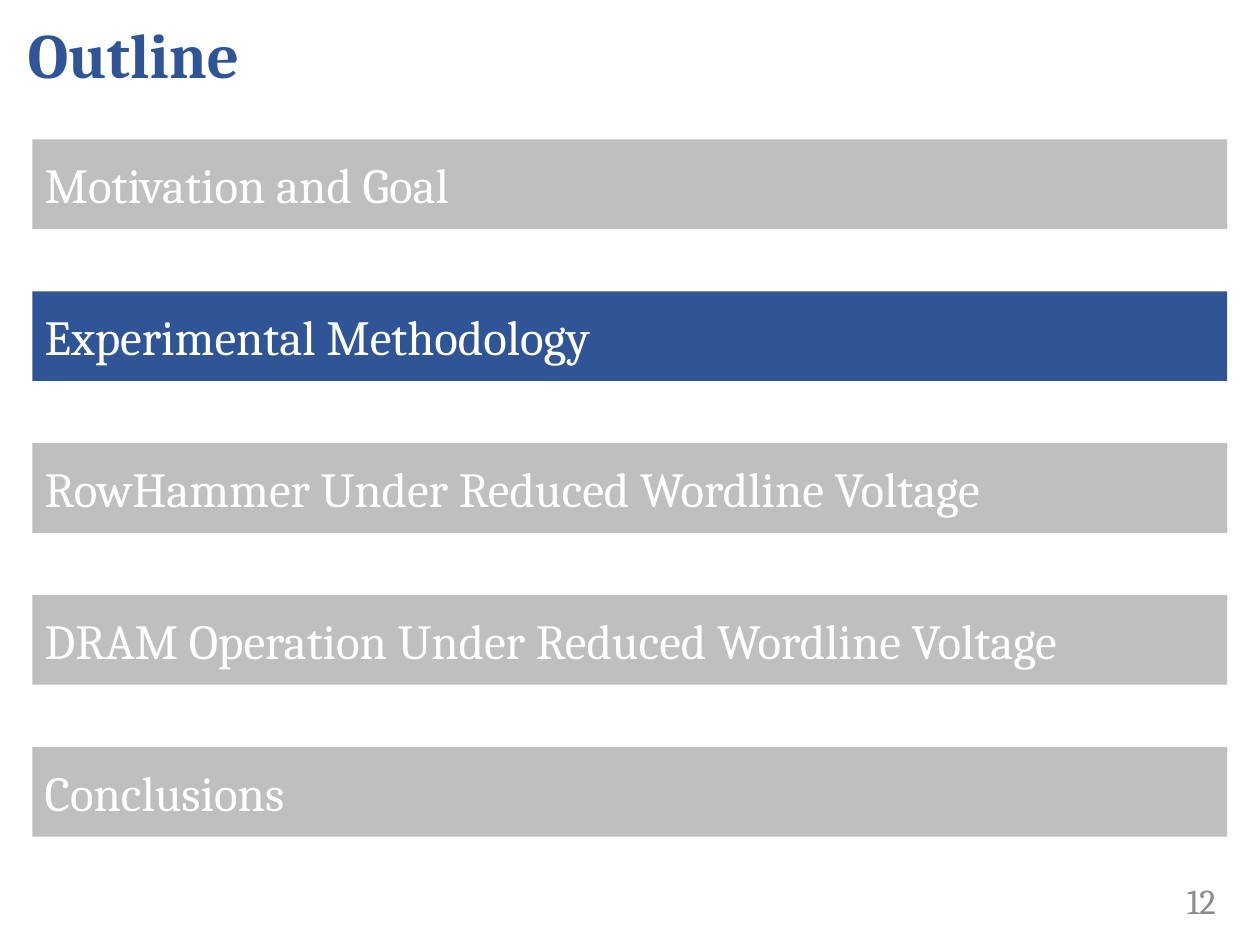
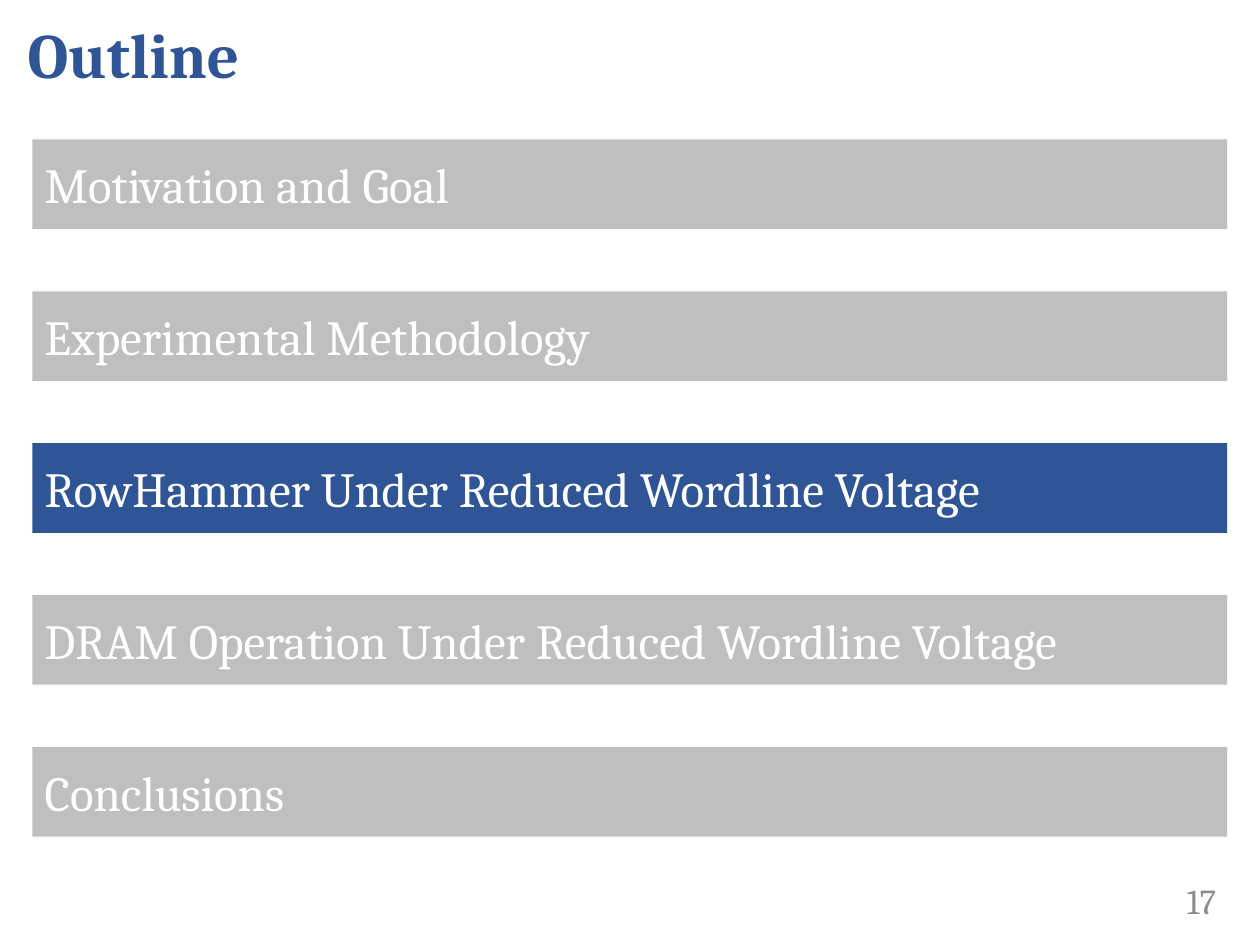
from dataclasses import dataclass
from typing import NamedTuple

from pptx import Presentation
from pptx.dml.color import RGBColor
from pptx.enum.shapes import MSO_SHAPE as Shape
from pptx.enum.text import MSO_ANCHOR as Anchor, MSO_AUTO_SIZE as AutoSize, PP_ALIGN as Align
from pptx.util import Pt


class Box(NamedTuple):
    left: float
    top: float
    width: float
    height: float

    def lengths(self):
        return [Pt(value) for value in self]


@dataclass(frozen=True)
class Theme:
    font: str = "Cambria"
    accent: str = "2F5597"
    muted: str = "BFBFBF"
    white: str = "FFFFFF"
    number_gray: str = "8C8C8C"
    title_size: int = 36
    bar_size: int = 28
    number_size: int = 20


THEME = Theme()
TITLE_ONLY = 5
PAGE_SIZE = (720, 540)
TITLE_BOX = Box(8.64, 0, 699, 60.5)
AGENDA_BOX = Box(18.5, 79.7, 682.8, 398.4)
NUMBER_BOX = Box(624.2, 500.4, 77.8, 28.8)
BAR_HEIGHT = 51.2

SECTIONS = [
    "Motivation and Goal",
    "Experimental Methodology",
    "RowHammer Under Reduced Wordline Voltage",
    "DRAM Operation Under Reduced Wordline Voltage",
    "Conclusions",
]
OUTLINES = [
    ("Experimental Methodology", 12),
    ("RowHammer Under Reduced Wordline Voltage", 17),
]


def set_attributes(target, values):
    for name, value in values.items():
        setattr(target, name, value)


def write_line(shape, text, size, color, bold=False, align=Align.LEFT):
    frame = shape.text_frame
    set_attributes(frame, {
        "text": text,
        "word_wrap": True,
        "auto_size": AutoSize.NONE,
        "vertical_anchor": Anchor.MIDDLE,
    })
    para = frame.paragraphs[0]
    para.alignment = align
    font = para.runs[0].font
    set_attributes(font, {"name": THEME.font, "size": Pt(size), "bold": bold})
    font.color.rgb = RGBColor.from_string(color)
    return para


def fill_title(page, box, text):
    title = page.shapes.title
    set_attributes(title, dict(zip(("left", "top", "width", "height"), box.lengths())))
    para = write_line(title, text, THEME.title_size, THEME.accent, bold=True)
    para.space_after = Pt(6)


def add_bar(page, box, text, color):
    bar = page.shapes.add_shape(Shape.RECTANGLE, *box.lengths())
    bar.shadow.inherit = False
    bar.fill.solid()
    bar.fill.fore_color.rgb = RGBColor.from_string(color)
    bar.line.fill.background()
    write_line(bar, text, THEME.bar_size, THEME.white)


def add_agenda(page, box, sections, current):
    step = (box.height - BAR_HEIGHT) / (len(sections) - 1)
    for index, section in enumerate(sections):
        bar_box = Box(box.left, box.top + index * step, box.width, BAR_HEIGHT)
        color = THEME.accent if section == current else THEME.muted
        add_bar(page, bar_box, section, color)


def add_page_number(page, box, number):
    number_box = page.shapes.add_textbox(*box.lengths())
    write_line(number_box, str(number), THEME.number_size, THEME.number_gray, align=Align.RIGHT)


def add_outline_page(deck, current, number):
    page = deck.slides.add_slide(deck.slide_layouts[TITLE_ONLY])
    fill_title(page, TITLE_BOX, "Outline")
    add_agenda(page, AGENDA_BOX, SECTIONS, current)
    add_page_number(page, NUMBER_BOX, number)


def main():
    deck = Presentation()
    deck.slide_width, deck.slide_height = map(Pt, PAGE_SIZE)
    for current, number in OUTLINES:
        add_outline_page(deck, current, number)
    deck.save("out.pptx")


if __name__ == "__main__":
    main()
